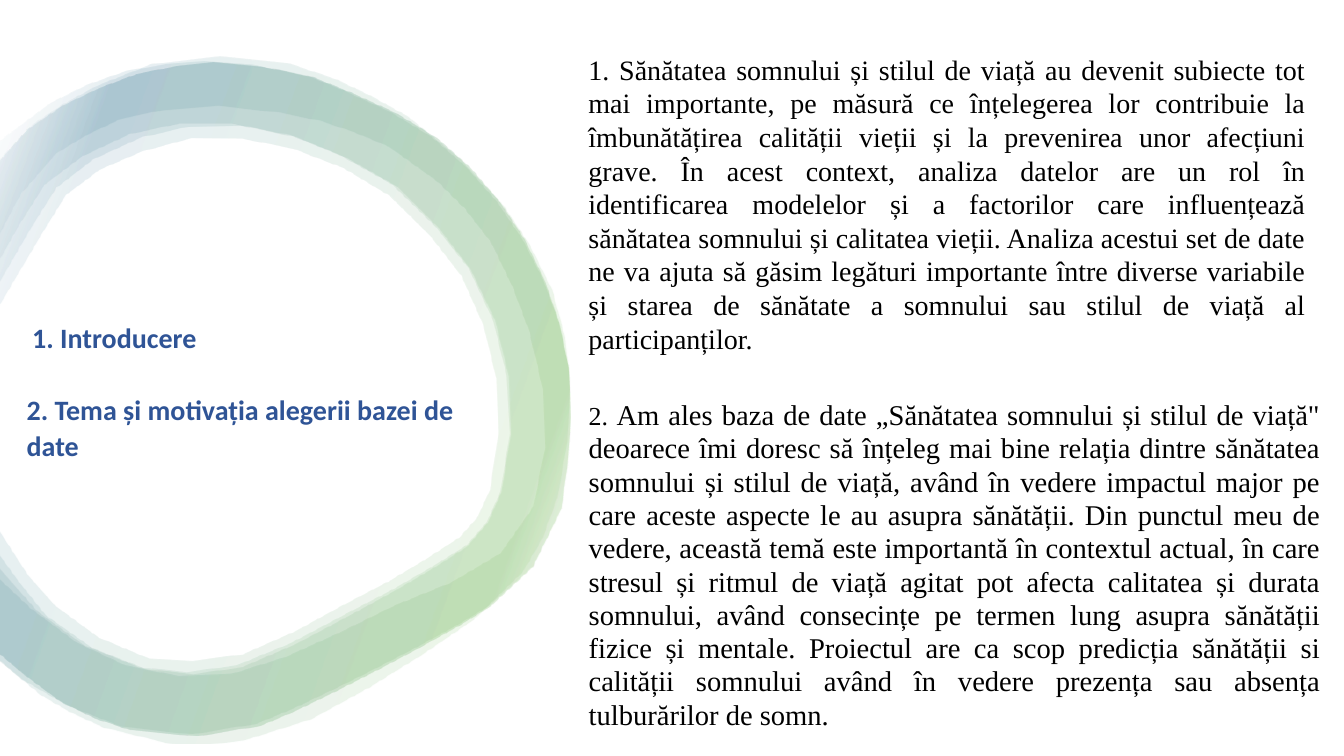
import math
from dataclasses import dataclass

import lxml.etree
import pptx
import pptx.dml.color
import pptx.enum.text
import pptx.oxml
import pptx.oxml.ns
import pptx.util

EMU_PER_PX = 9525
CURVE_STEP = 45
WHITE = pptx.dml.color.RGBColor(0xFF, 0xFF, 0xFF)
BLACK = pptx.dml.color.RGBColor(0x00, 0x00, 0x00)
HEADING_BLUE = pptx.dml.color.RGBColor(0x2F, 0x54, 0x96)
RING_GREEN = pptx.dml.color.RGBColor(0x4E, 0xA7, 0x2E)
RING_TEAL = pptx.dml.color.RGBColor(0x15, 0x60, 0x82)
RING_STOPS = ((2, WHITE), (16, RING_GREEN), (85, RING_TEAL), (100, WHITE))
RING_ALPHA = 10
RING_ANGLE = 200

Point = tuple[float, float]
Edge = list[Point]


@dataclass(frozen=True)
class Ring:
    """A band open at the left: outer edge downwards, inner edge upwards."""
    outer: Edge
    inner: Edge


@dataclass(frozen=True)
class TextRun:
    text: str
    size: float


@dataclass(frozen=True)
class TextBlock:
    left: int
    top: int
    width: int
    height: int
    runs: tuple[TextRun, ...]
    font: str
    color: pptx.dml.color.RGBColor
    bold: bool = False
    justified: bool = False
    middle: bool = False
    line_spacing: float = 1.0
    space_before: int = 0
    space_after: int = 0


WIDE_OUTER = [
    (-2, 154), (32, 118), (92, 82), (145, 61), (209, 54), (273, 60), (318, 75), (388, 111),
    (437, 151), (479, 196), (525, 276), (542, 368), (530, 473), (497, 544), (451, 589),
    (401, 623), (351, 654), (296, 684), (233, 704), (164, 708), (99, 692), (39, 661),
    (-2, 627)]
WIDE_INNER = [
    (-2, 549), (30, 579), (73, 611), (120, 633), (170, 643), (220, 641), (271, 625),
    (322, 602), (375, 576), (429, 554), (476, 526), (507, 482), (518, 426), (516, 370),
    (503, 315), (467, 231), (416, 173), (370, 140), (304, 115), (264, 107), (208, 101),
    (155, 105), (116, 113), (54, 146), (20, 185), (-2, 227)]
MIDDLE_OUTER = [
    (-2, 136), (49, 98), (120, 68), (194, 59), (241, 62), (291, 72), (411, 131),
    (497, 228), (541, 350), (534, 484), (507, 539), (465, 577), (358, 636), (244, 689),
    (183, 699), (117, 692), (65, 672), (20, 646), (-2, 627)]
MIDDLE_INNER = [
    (-2, 539), (36, 582), (80, 614), (132, 635), (178, 640), (226, 633), (277, 612),
    (328, 585), (372, 562), (444, 519), (463, 497), (476, 468), (485, 413), (482, 358),
    (469, 305), (446, 256), (373, 176), (276, 129), (221, 118), (171, 118), (124, 128),
    (79, 149), (43, 176), (19, 214), (-2, 251)]
SHARED_OUTER = [
    (-2, 156), (26, 124), (60, 101), (130, 71), (203, 60), (249, 64), (298, 74),
    (416, 132), (499, 228), (541, 350), (534, 484), (507, 539), (466, 577), (361, 636),
    (248, 690), (188, 700), (124, 694), (58, 667), (-2, 620)]
THICK_INNER = [
    (-2, 502), (27, 547), (53, 576), (94, 606), (142, 626), (231, 622), (325, 576),
    (371, 552), (437, 511), (454, 492), (466, 466), (474, 412), (472, 360), (460, 310),
    (439, 263), (371, 187), (279, 142), (182, 132), (95, 162), (63, 186), (40, 223),
    (-2, 294)]
THIN_INNER = [
    (-2, 525), (44, 585), (88, 616), (139, 636), (184, 641), (231, 634), (282, 612),
    (331, 586), (375, 562), (444, 520), (464, 497), (477, 468), (486, 413), (484, 358),
    (471, 305), (448, 257), (378, 178), (282, 131), (229, 120), (180, 121), (135, 131),
    (89, 152), (54, 179), (30, 217), (-2, 272)]
RINGS = (Ring(WIDE_OUTER, WIDE_INNER), Ring(MIDDLE_OUTER, MIDDLE_INNER),
         Ring(SHARED_OUTER, THICK_INNER), Ring(SHARED_OUTER, THIN_INNER))

INTRODUCTION_HEADING = TextBlock(
    21, 300, 422, 42, (TextRun("1. Introducere", 20),), "Calibri", HEADING_BLUE, bold=True)
MOTIVATION_HEADING = TextBlock(
    16, 367, 463, 43, (TextRun("2. Tema și motivația alegerii bazei de date", 20),),
    "Calibri", HEADING_BLUE, bold=True, line_spacing=1.07, space_before=8, space_after=4)
INTRODUCTION = TextBlock(
    551, 45, 702, 300,
    (TextRun("1. Sănătatea somnului și stilul de viață au devenit subiecte tot mai importante, "
             "pe măsură ce înțelegerea lor contribuie la îmbunătățirea calității vieții și la "
             "prevenirea unor afecțiuni grave. În acest context, analiza datelor are un rol în "
             "identificarea modelelor și a factorilor care influențează sănătatea somnului și "
             "calitatea vieții. Analiza acestui set de date ne va ajuta să găsim legături "
             "importante între diverse variabile și starea de sănătate a somnului sau stilul "
             "de viață al participanților.", 20),),
    "Times New Roman", BLACK, justified=True)
MOTIVATION = TextBlock(
    551, 360, 716, 357,
    (TextRun("2. ", 18.5),
     TextRun("Am ales baza de date „Sănătatea somnului și stilul de viață\" deoarece îmi doresc "
             "să înțeleg mai bine relația dintre sănătatea somnului și stilul de viață, având "
             "în vedere impactul major pe care aceste aspecte le au asupra sănătății. Din "
             "punctul meu de vedere, această temă este importantă în contextul actual, în care "
             "stresul și ritmul de viață agitat pot afecta calitatea și durata somnului, având "
             "consecințe pe termen lung asupra sănătății fizice și mentale. Proiectul are ca "
             "scop predicția sănătății si calității somnului având în vedere prezența sau "
             "absența tulburărilor de somn.", 20.4)),
    "Times New Roman", BLACK, justified=True, middle=True, line_spacing=0.97, space_after=8)


def px(length: float) -> pptx.util.Emu:
    return pptx.util.Emu(round(length * EMU_PER_PX))


def smooth(edge: Edge) -> Edge:
    """Sample a Catmull-Rom curve through the points of an edge."""
    padded = [edge[0], *edge, edge[-1]]
    curve = [edge[0]]
    for a, b, c, d in zip(padded, padded[1:], padded[2:], padded[3:]):
        steps = max(1, round(math.dist(b, c) / CURVE_STEP))
        for step in range(1, steps + 1):
            t = step / steps
            x, y = (b[i] + t * (c[i] - a[i]) / 2
                    + t ** 2 * (2 * a[i] - 5 * b[i] + 4 * c[i] - d[i]) / 2
                    + t ** 3 * (3 * b[i] - a[i] - 3 * c[i] + d[i]) / 2 for i in (0, 1))
            curve.append((x, y))
    return curve


def gradient_fill() -> lxml.etree._Element:
    stops = "".join(
        f'<a:gs pos="{position * 1000}"><a:srgbClr val="{color}">'
        f'<a:alpha val="{RING_ALPHA * 1000}"/></a:srgbClr></a:gs>'
        for position, color in RING_STOPS)
    return pptx.oxml.parse_xml(
        f'<a:gradFill {pptx.oxml.ns.nsdecls("a")} rotWithShape="1"><a:gsLst>{stops}</a:gsLst>'
        f'<a:lin ang="{RING_ANGLE * 60000}" scaled="0"/></a:gradFill>')


def draw_ring(slide: pptx.slide.Slide, ring: Ring) -> None:
    points = [(px(x), px(y)) for x, y in smooth(ring.outer) + smooth(ring.inner)]
    builder = slide.shapes.build_freeform(*points[0])
    builder.add_line_segments(points[1:], close=True)
    shape = builder.convert_to_shape()
    shape.shadow.inherit = False
    shape.line.fill.background()
    shape.fill.background()
    no_fill = shape._element.spPr.find(pptx.oxml.ns.qn("a:noFill"))
    no_fill.getparent().replace(no_fill, gradient_fill())


def write_block(shape: pptx.shapes.base.BaseShape, block: TextBlock) -> None:
    shape.left, shape.top = px(block.left), px(block.top)
    shape.width, shape.height = px(block.width), px(block.height)
    frame = shape.text_frame
    frame.word_wrap = True
    frame.auto_size = pptx.enum.text.MSO_AUTO_SIZE.NONE
    anchors = pptx.enum.text.MSO_ANCHOR
    frame.vertical_anchor = anchors.MIDDLE if block.middle else anchors.TOP
    paragraph = frame.paragraphs[0]
    alignments = pptx.enum.text.PP_ALIGN
    paragraph.alignment = alignments.JUSTIFY if block.justified else alignments.LEFT
    paragraph.line_spacing = block.line_spacing
    paragraph.space_before = pptx.util.Pt(block.space_before)
    paragraph.space_after = pptx.util.Pt(block.space_after)
    properties = paragraph._p.get_or_add_pPr()
    properties.set("marL", "0")
    properties.set("indent", "0")
    lxml.etree.SubElement(properties, pptx.oxml.ns.qn("a:buNone"))
    for text_run in block.runs:
        run = paragraph.add_run()
        run.text = text_run.text
        run.font.name = block.font
        run.font.size = pptx.util.Pt(text_run.size)
        run.font.bold = block.bold
        run.font.color.rgb = block.color


def main() -> None:
    presentation = pptx.Presentation()
    presentation.slide_width, presentation.slide_height = px(1280), px(720)
    slide = presentation.slides.add_slide(presentation.slide_layouts[1])
    slide.background.fill.solid()
    slide.background.fill.fore_color.rgb = WHITE
    for ring in RINGS:
        draw_ring(slide, ring)
    write_block(slide.shapes.title, INTRODUCTION_HEADING)
    write_block(slide.placeholders[1], MOTIVATION)
    for block in (MOTIVATION_HEADING, INTRODUCTION):
        write_block(slide.shapes.add_textbox(0, 0, 0, 0), block)
    presentation.save("out.pptx")


if __name__ == "__main__":
    main()
